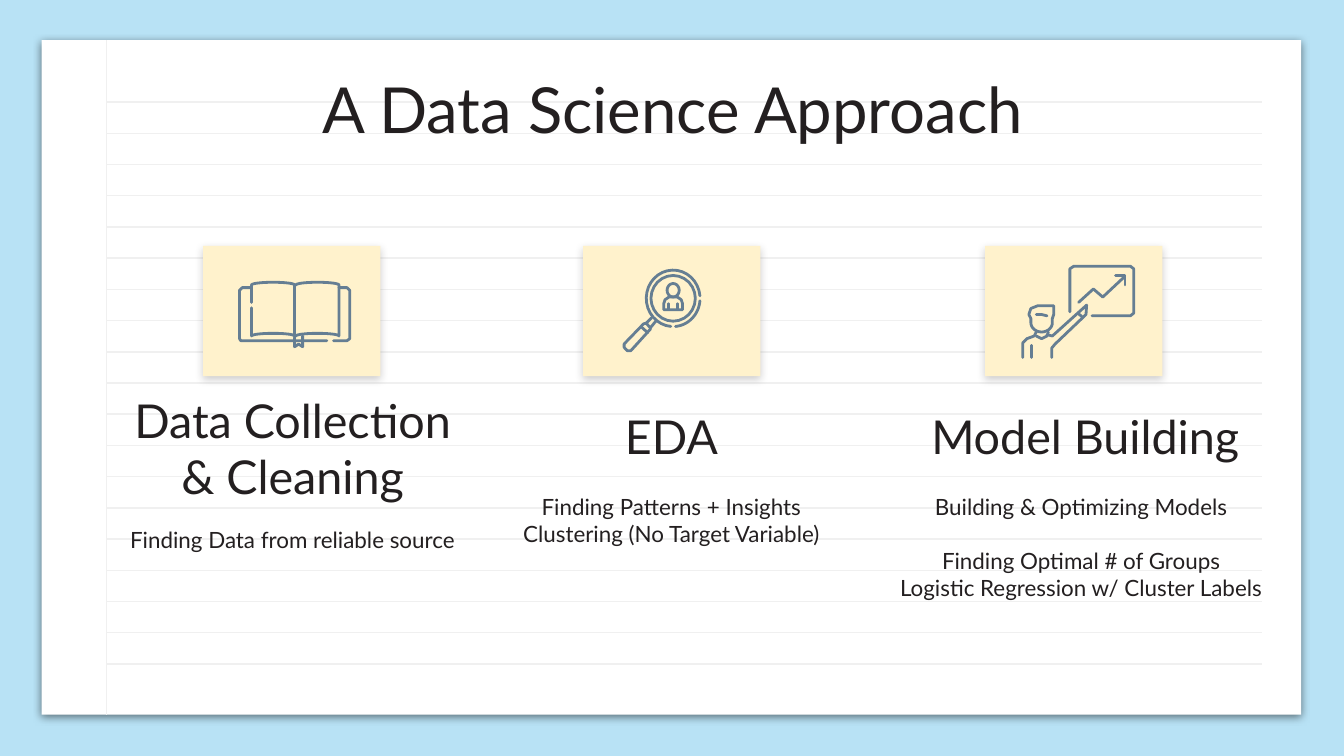
"""Builds the slide on the three stages of a data science approach."""
import dataclasses
import math

import lxml.etree
import pptx
import pptx.dml.color
import pptx.enum.shapes
import pptx.enum.text
import pptx.oxml.ns
import pptx.util

Cm, Pt = pptx.util.Cm, pptx.util.Pt
qn = pptx.oxml.ns.qn
ICON_UNIT = 2.54 / 100


@dataclasses.dataclass(frozen=True)
class Theme:
    font: str = "Lato"
    ink: str = "231F20"
    sky: str = "B8E2F5"
    paper: str = "FFFFFF"
    paper_shadow: str = "000000"
    rule: str = "F0F0F0"
    card: str = "FFF2CC"
    icon: str = "657E93"
    title_size: float = 34
    heading_size: float = 25
    body_size: float = 12
    rule_width: float = 0.75
    icon_width: float = 1.5


def rgb(value):
    return pptx.dml.color.RGBColor.from_string(value)


def arc(x, y, rx, ry, start=0, end=360):
    steps = 24
    angles = [math.radians(start + (end - start) * i / steps) for i in range(steps + 1)]
    return [(x + rx * math.cos(a), y + ry * math.sin(a)) for a in angles]


def loop(*points):
    return [*points, points[0]]


class Board:
    def __init__(self, slide, theme):
        self.slide, self.theme = slide, theme
        slide.background.fill.solid()
        slide.background.fill.fore_color.rgb = rgb(theme.sky)

    def sheet(self, left, top, width, height, fill, shade, opacity):
        sheet = self.slide.shapes.add_shape(
            pptx.enum.shapes.MSO_SHAPE.RECTANGLE, Cm(left), Cm(top), Cm(width), Cm(height))
        sheet.fill.solid()
        sheet.fill.fore_color.rgb = rgb(fill)
        sheet.line.fill.background()
        sheet.shadow.inherit = False
        effects = sheet._element.spPr.find(qn("a:effectLst"))
        shadow = lxml.etree.SubElement(
            effects, qn("a:outerShdw"), blurRad=str(Pt(4.5)), dist=str(Pt(1.5)),
            dir="5400000", algn="bl", rotWithShape="0")
        color = lxml.etree.SubElement(shadow, qn("a:srgbClr"), val=shade)
        lxml.etree.SubElement(color, qn("a:alpha"), val=str(opacity * 1000))

    def rule(self, x1, y1, x2, y2):
        rule = self.slide.shapes.add_connector(
            pptx.enum.shapes.MSO_CONNECTOR.STRAIGHT, Cm(x1), Cm(y1), Cm(x2), Cm(y2))
        rule.line.color.rgb = rgb(self.theme.rule)
        rule.line.width = Pt(self.theme.rule_width)
        lxml.etree.SubElement(rule._element.spPr, qn("a:effectLst"))

    def text(self, left, top, width, height, lines, size, middle=True):
        frame = self.slide.shapes.add_textbox(
            Cm(left), Cm(top), Cm(width), Cm(height)).text_frame
        frame.word_wrap = True
        frame.margin_left = frame.margin_right = Cm(0.25)
        frame.margin_top = frame.margin_bottom = Cm(0.25)
        anchors = pptx.enum.text.MSO_ANCHOR
        frame.vertical_anchor = anchors.MIDDLE if middle else anchors.TOP
        for i, (line, gap) in enumerate(lines):
            paragraph = frame.paragraphs[0] if i == 0 else frame.add_paragraph()
            paragraph.alignment = pptx.enum.text.PP_ALIGN.CENTER
            paragraph.space_before = Pt(gap)
            run = paragraph.add_run()
            run.text = line
            run.font.name = self.theme.font
            run.font.size = Pt(size)
            run.font.color.rgb = rgb(self.theme.ink)

    def icon(self, left, top, strokes):
        placed = [[(Cm(left + x * ICON_UNIT), Cm(top + y * ICON_UNIT)) for x, y in stroke]
                  for stroke in strokes]
        outline = self.slide.shapes.build_freeform(*placed[0][0])
        outline.add_line_segments(placed[0][1:], close=False)
        for start, *rest in placed[1:]:
            outline.move_to(*start)
            outline.add_line_segments(rest, close=False)
        icon = outline.convert_to_shape()
        icon.fill.background()
        icon.line.color.rgb = rgb(self.theme.icon)
        icon.line.width = Pt(self.theme.icon_width)
        icon._element.spPr.find(qn("a:ln")).set("cap", "rnd")
        icon.shadow.inherit = False


BOOK = [
    [(36, 42), (36, 29), *arc(52, 29, 16, 2, 180, 360), *arc(85, 29, 16, 2, 180, 360),
     (101, 67), *arc(85, 67, 16, 2, 360, 180), *arc(52, 67, 16, 2, 360, 180), (36, 46)],
    [(68, 29), (68, 67)],
    [(36, 31), (29, 31), (27, 33), (27, 69), (28, 70.5), (92, 70.5)],
    [(97, 70.5), (107, 70.5), (109, 69), (109, 33), (107, 31), (101, 31)],
    [(68, 68), (68, 75), (71, 73), (74, 75), (74, 67)],
]
MAGNIFIER = [
    arc(67, 39, 20, 21, 5, 85),
    arc(67, 39, 20, 21, 95, 355),
    arc(67, 39, 16.5, 17, 0, 360),
    arc(67, 33, 4.5, 5),
    loop((60, 47.5), (60, 43), (61, 40), (64, 38), (70, 38), (73, 40), (74, 43), (74, 47.5)),
    [(63.5, 43), (63.5, 47)],
    [(70.5, 43), (70.5, 47)],
    loop((45, 58), (30.5, 73), (30.5, 75.5), (33, 78), (35.5, 78), (50, 62), (50, 61), (47, 57.5)),
    [(47, 57.5), (51, 53.5)],
    [(50, 61), (54.5, 55.5)],
    [(43, 60), (48, 64.5)],
]
PRESENTER = [
    [(38, 51), (42, 51), (46, 52)],
    loop((39, 44.5), (51, 44.5), (51, 51), (50, 54), *arc(42, 57, 8, 7, 0, 180),
         (34, 54), (32.5, 51), (34, 46.5)),
    [(28, 83), (28, 72), (31, 69), (36.5, 67), (38, 64)],
    [(38, 67), (42, 69), (46, 67), (47, 64)],
    [(34.5, 74), (34.5, 83)],
    [(46, 66), (50, 67), (75.5, 44), (75, 51), (52, 73), (49.5, 76), (49.5, 83)],
    [(69.5, 50.5), (72.5, 53)],
    [(63, 49), (63, 17), (66, 15), (108, 15), (110.5, 17), (110.5, 50), (108, 52), (79.5, 52)],
    [(69.5, 42), (80.5, 32), (87.5, 38), (103.5, 23)],
    [(97, 22), (104, 22), (104, 29)],
]
STAGES = [
    (3.84, BOOK, "Data Collection & Cleaning", (2.01, 7.95), (2.01, 9.7, 7.04),
     [("Finding Data from reliable source", 0)]),
    (11.02, MAGNIFIER, "EDA", (9.17, 7.72), (9.17, 9.07, 7.04),
     [("Finding Patterns + Insights", 0), ("Clustering (No Target Variable)", 0)]),
    (18.62, PRESENTER, "Model Building", (16.99, 7.72), (16.56, 9.07, 7.75),
     [("Building & Optimizing Models", 0), ("Finding Optimal # of Groups", 14.4),
      ("Logistic Regression w/ Cluster Labels", 0)]),
]


def main():
    deck = pptx.Presentation()
    deck.slide_width, deck.slide_height = Cm(25.4), Cm(14.29)
    theme = Theme()
    board = Board(deck.slides.add_slide(deck.slide_layouts[6]), theme)

    board.sheet(0.79, 0.76, 23.8, 12.75, theme.paper, theme.paper_shadow, 50)
    for row in range(19):
        y = 1.93 + row * 0.59
        board.rule(2.01, y, 23.85, y)
    board.rule(2.01, 0.76, 2.01, 13.51)

    board.text(2.01, 1.24, 21.41, 1.6, [("A Data Science Approach", 0)], theme.title_size)
    card_top = 4.65
    for card_left, icon, heading, heading_at, body_at, body in STAGES:
        board.text(*heading_at, 7.04, 1.04, [(heading, 0)], theme.heading_size)
        board.text(*body_at, 1.7, body, theme.body_size, middle=False)
        board.sheet(card_left, card_top, 3.35, 2.46, theme.card, theme.ink, 22)
        board.icon(card_left, card_top, icon)
    deck.save("out.pptx")


if __name__ == "__main__":
    main()
